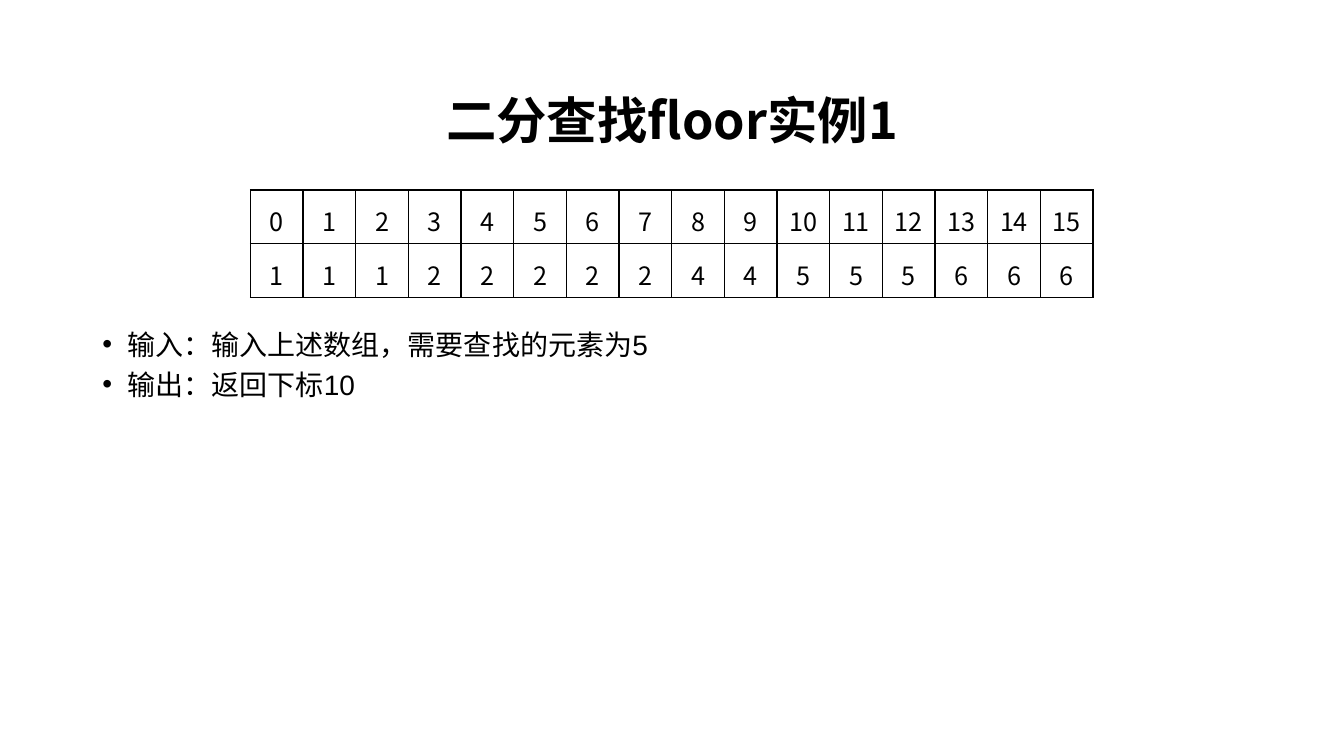
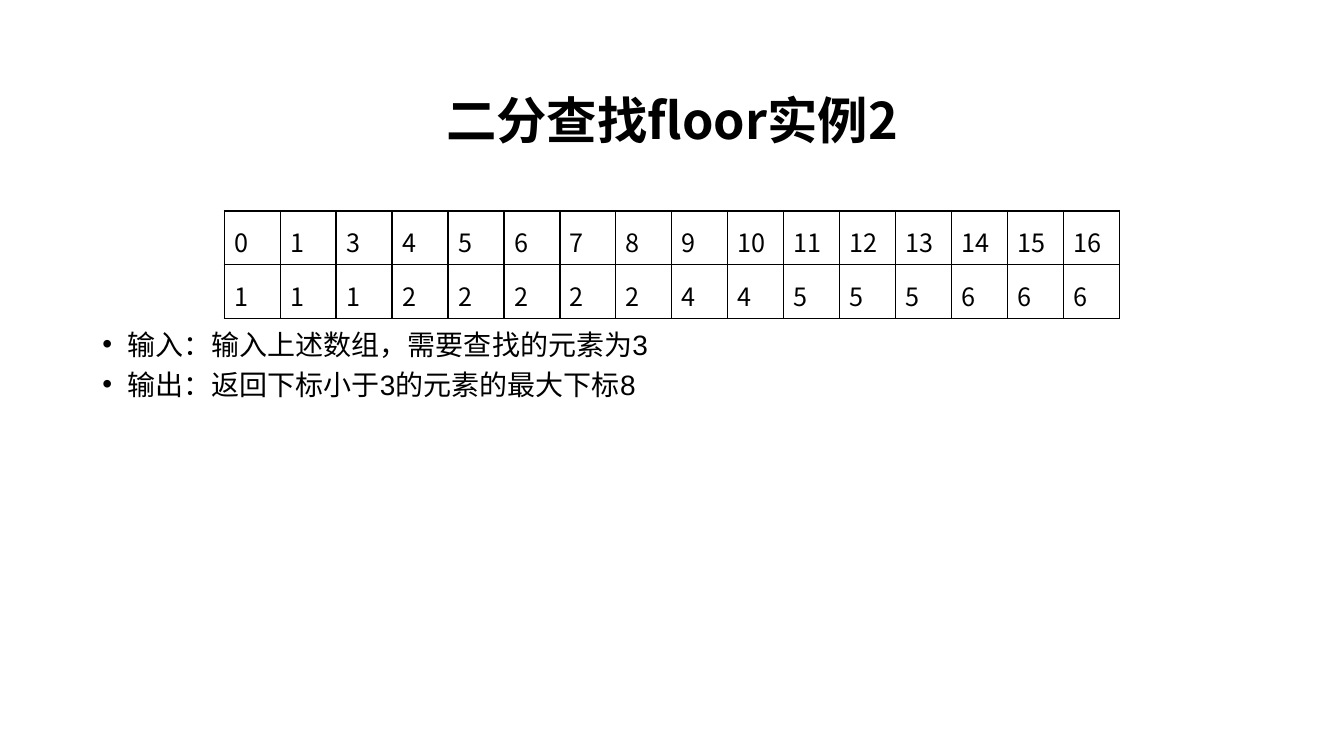
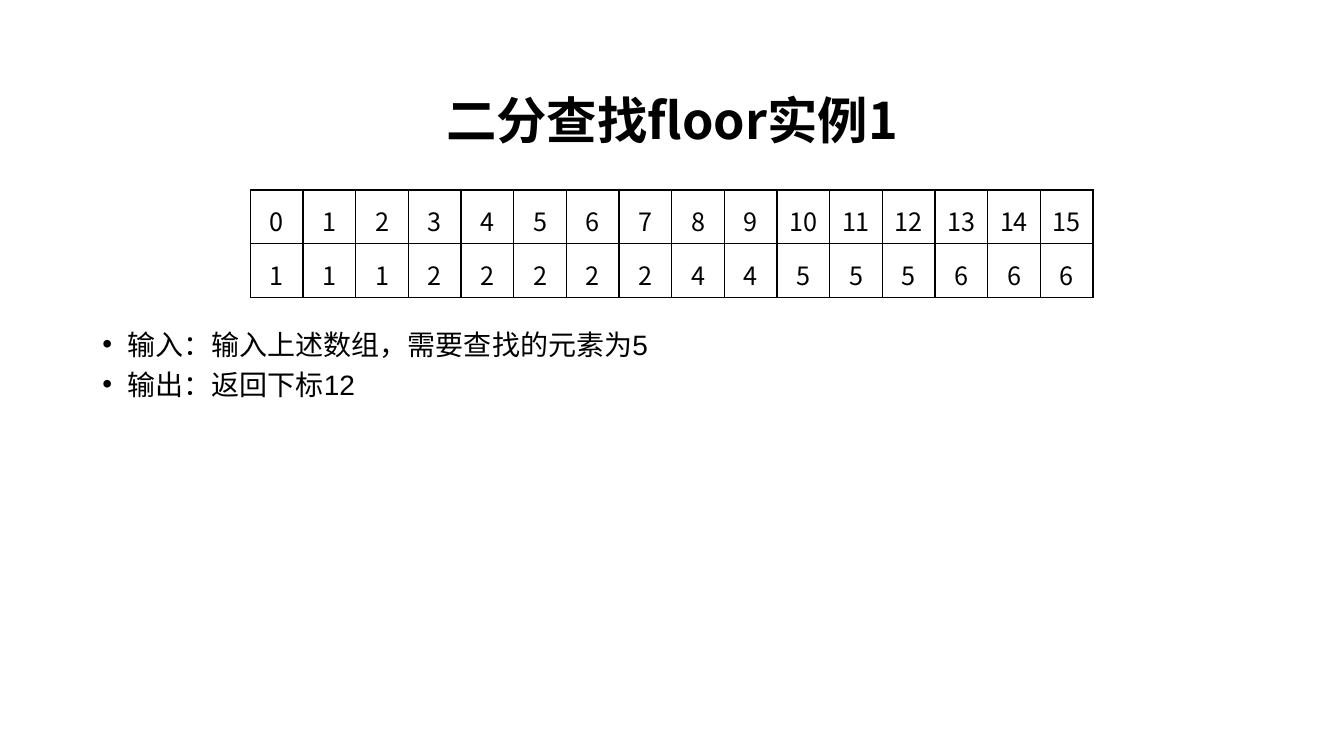
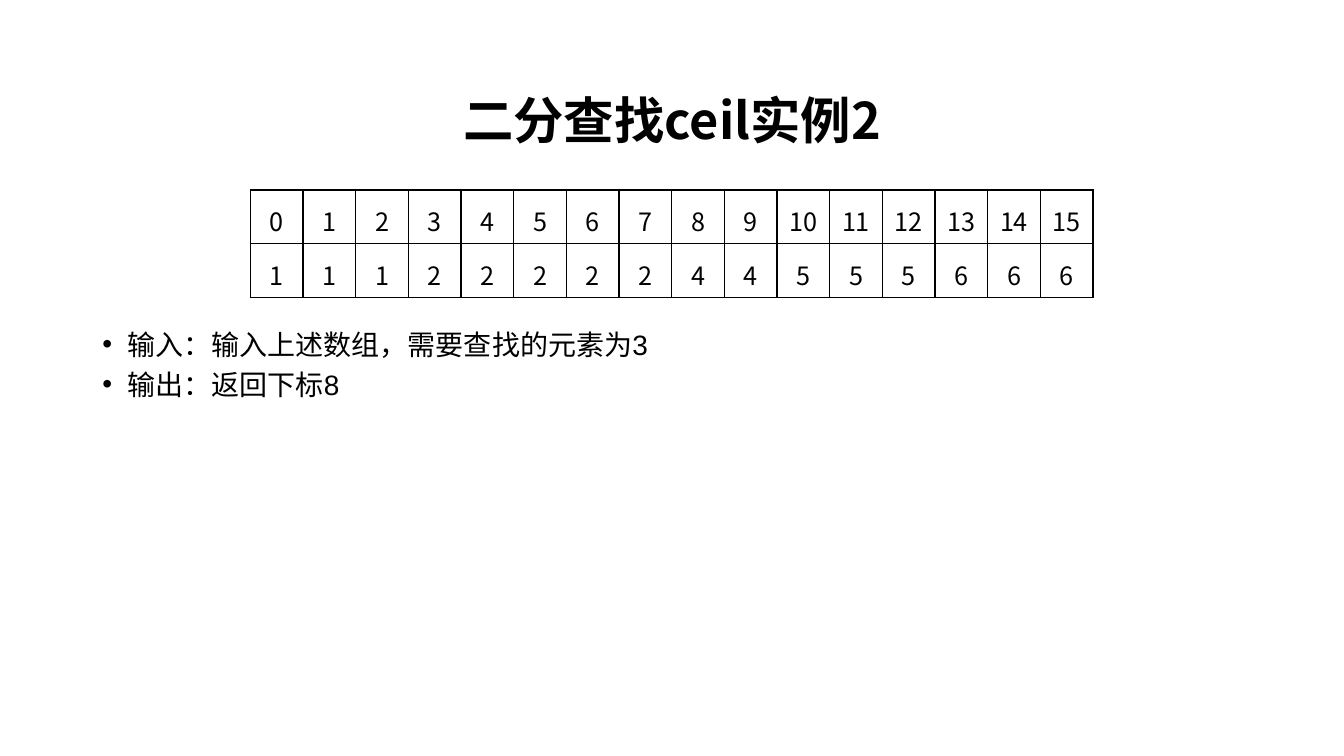
from dataclasses import dataclass

from pptx import Presentation
from pptx.dml.color import RGBColor as RGB
from pptx.enum.text import MSO_ANCHOR as Anchor, PP_ALIGN as Align
from pptx.oxml import parse_xml
from pptx.oxml.ns import nsdecls
from pptx.util import Pt

PX = 9525
WIDTH, HEIGHT = 1280, 720


@dataclass(frozen=True)
class Theme:
    """Colours, fonts and type sizes of the deck."""
    ink: str = "000000"
    head: str = "Noto Sans CJK SC"
    body: str = "Arial"
    title: int = 36
    text: int = 20
    cell: int = 18
    line: float = 1.2
    pitch: float = 28.6
    rule: int = 1


THEME = Theme()
VALUES = [1, 1, 1, 2, 2, 2, 2, 2, 4, 4, 5, 5, 5, 6, 6, 6]
INDEX = list(range(16))
GAPPED = [0, 1, *range(3, 17)]


def tag(name, attrs="", inner=""):
    """Return one DrawingML element."""
    return parse_xml(f"<a:{name} {nsdecls('a')} {attrs}>{inner}</a:{name}>")


def write(frame, *lines, size, font=THEME.head, bold=False,
          align=Align.LEFT, line=THEME.line, bullet=False):
    """Fill a text frame with equally formatted paragraphs."""
    frame.word_wrap = True
    for i, text in enumerate(lines):
        para = frame.paragraphs[0] if i == 0 else frame.add_paragraph()
        para.alignment, para.line_spacing = align, line
        if bullet:
            props = para._p.get_or_add_pPr()
            props.set("marL", str(24 * PX))
            props.set("indent", str(-24 * PX))
            props.append(tag("buFont", f'typeface="{THEME.body}"'))
            props.append(tag("buChar", 'char="•"'))
        run = para.add_run()
        run.text = text
        face = run.font
        face.size, face.bold, face.name = Pt(size), bold, font
        face.color.rgb = RGB.from_string(THEME.ink)
        face._element.append(tag("ea", f'typeface="{font}"'))


def box(slide, left, top, width, height):
    """Add a text box and return its frame."""
    spot = [n * PX for n in (left, top, width, height)]
    return slide.shapes.add_textbox(*spot).text_frame


def border(cell):
    """Draw thin solid lines on all sides of a cell and leave it unfilled."""
    props = cell._tc.get_or_add_tcPr()
    fill = f'<a:solidFill><a:srgbClr val="{THEME.ink}"/></a:solidFill>'
    for side in ("lnL", "lnR", "lnT", "lnB"):
        props.append(tag(side, f'w="{Pt(THEME.rule)}"', fill))
    cell.fill.background()


def grid(slide, rows, top, width, align):
    """Add a centred table with equal columns."""
    count, tall = len(rows[0]), 51
    table = slide.shapes.add_table(
        len(rows), count, (WIDTH - width) * PX // 2, top * PX,
        width * PX, tall * len(rows) * PX).table
    table.first_row = table.horz_banding = False
    for col in table.columns:
        col.width = width * PX // count
    for r, row in enumerate(rows):
        table.rows[r].height = tall * PX
        for c, value in enumerate(row):
            cell = table.cell(r, c)
            write(cell.text_frame, str(value), size=THEME.cell, align=align)
            border(cell)


def page(deck, title, *lines, index=INDEX, top=181, width=803,
         align=Align.CENTER):
    """Add one example slide: title, input and output, array."""
    slide = deck.slides.add_slide(deck.slide_layouts[6])
    head = box(slide, 88, 38, 1104, 139)
    head.vertical_anchor = Anchor.MIDDLE
    write(head, title, size=THEME.title, bold=True, align=Align.CENTER)
    write(box(slide, 88, 301, 1104, 348), *lines, size=THEME.text,
          font=THEME.body, line=Pt(THEME.pitch), bullet=True)
    grid(slide, [index, VALUES], top, width, align)


def main():
    """Build and save the deck."""
    deck = Presentation()
    deck.slide_width, deck.slide_height = WIDTH * PX, HEIGHT * PX
    ask = "输入：输入上述数组，需要查找的元素为"
    page(deck, "二分查找floor实例1", f"{ask}5", "输出：返回下标10")
    page(deck, "二分查找floor实例2", f"{ask}3",
         "输出：返回下标小于3的元素的最大下标8",
         index=GAPPED, top=201, width=853, align=Align.LEFT)
    page(deck, "二分查找floor实例1", f"{ask}5", "输出：返回下标12")
    page(deck, "二分查找ceil实例2", f"{ask}3", "输出：返回下标8")
    deck.save("out.pptx")


if __name__ == "__main__":
    main()
